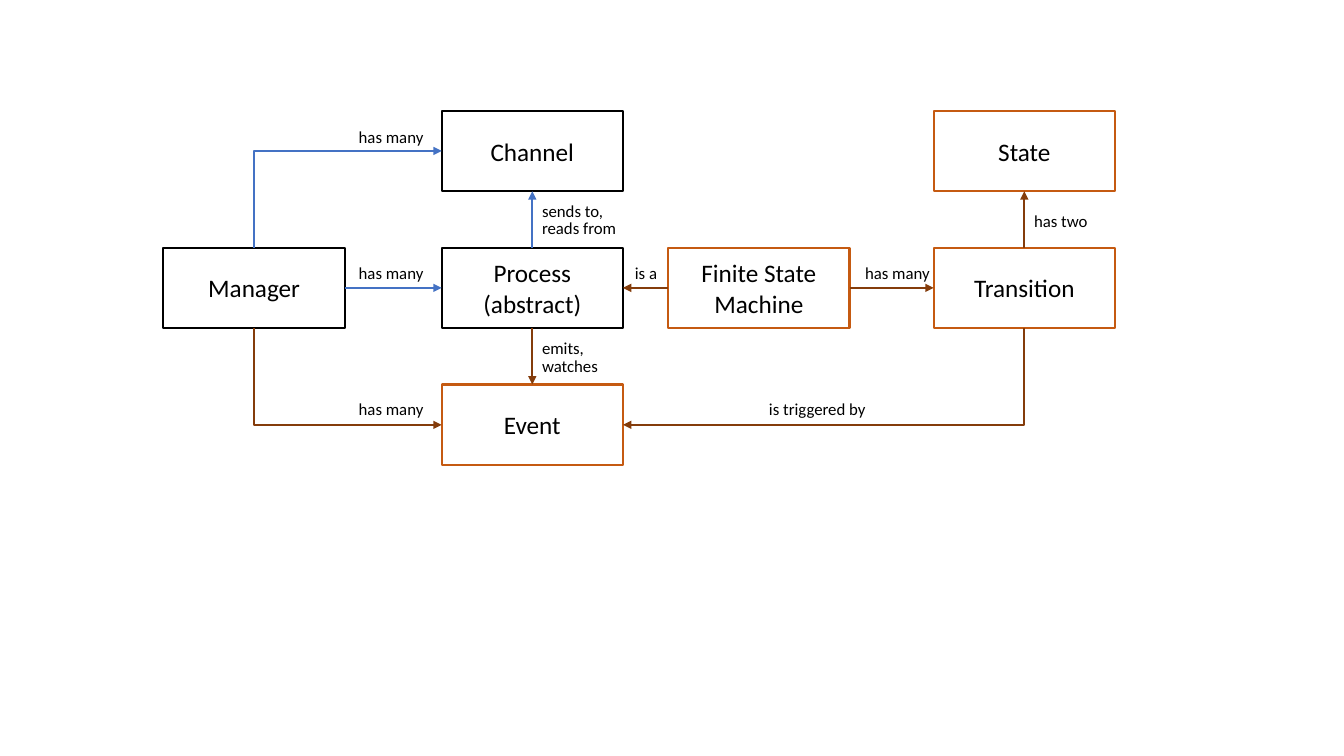
from pptx import Presentation
from pptx.dml.color import RGBColor as Rgb
from pptx.enum.shapes import MSO_CONNECTOR as Link, MSO_SHAPE as Form
from pptx.enum.text import MSO_ANCHOR as Anchor, MSO_AUTO_SIZE as Fit, PP_ALIGN as Align
from pptx.oxml.ns import qn
from pptx.oxml.xmlchemy import OxmlElement as Node
from pptx.util import Cm, Pt

HUES = {"white": "FFFFFF", "black": "000000", "blue": "4472C4",
        "orange": "C55A11", "brown": "843C0B"}
COLS = {"left": 4.12, "mid": 11.13, "right": 16.84, "far": 23.53}
ROWS = [2.79 + 3.45 * n for n in range(3)]
WIDE, HIGH = 4.57, 2.03
TOP, LEFT, BASE, RIGHT = range(4)

BOX_TEXT = {"vertical_anchor": Anchor.MIDDLE, "word_wrap": True}
TAG_TEXT = {"word_wrap": False, "auto_size": Fit.SHAPE_TO_FIT_TEXT}

BOXES = [
    ("Manager", "left", 1, "black"),
    ("Process\n(abstract)", "mid", 1, "black"),
    ("Event", "mid", 2, "orange"),
    ("Channel", "mid", 0, "black"),
    ("State", "far", 0, "orange"),
    ("Transition", "far", 1, "orange"),
    ("Finite State\nMachine", "right", 1, "orange"),
]
ARROWS = [
    ("Manager", TOP, "Channel", LEFT, "blue"),
    ("Manager", RIGHT, "Process", LEFT, "blue"),
    ("Manager", BASE, "Event", LEFT, "brown"),
    ("Process", BASE, "Event", TOP, "brown"),
    ("Process", TOP, "Channel", BASE, "blue"),
    ("Finite State", LEFT, "Process", RIGHT, "brown"),
    ("Finite State", RIGHT, "Transition", LEFT, "brown"),
    ("Transition", TOP, "State", BASE, "brown"),
    ("Transition", BASE, "Event", RIGHT, "brown"),
]
TAGS = [
    ("has many", 8.79, 3.07, 2.16),
    ("has many", 8.79, 9.93, 2.16),
    ("has many", 8.79, 6.5, 2.16),
    ("has many", 21.55, 6.5, 2.16),
    ("has two", 25.81, 5.18, 1.88),
    ("is triggered by", 19.13, 9.93, 2.97),
    ("is a", 15.75, 6.5, 1.09),
    ("sends to,", 13.41, 4.93, 2.08),
    ("reads from", 13.41, 5.37, 2.41),
    ("emits,", 13.41, 8.39, 1.57),
    ("watches", 13.41, 8.83, 1.93),
]


def hue(name):
    return Rgb.from_string(HUES[name])


def apply(item, form):
    for key, value in form.items():
        setattr(item, key, value)


def write(frame, text, size, align, form):
    frame.text = text
    apply(frame, form)
    for para in frame.paragraphs:
        para.alignment = align
        apply(para.font, {"name": "Calibri", "size": Pt(size)})
        para.font.color.rgb = hue("black")


def draw_box(slide, text, col, row, edge):
    box = slide.shapes.add_shape(
        Form.RECTANGLE, Cm(COLS[col]), Cm(ROWS[row]), Cm(WIDE), Cm(HIGH))
    box.shadow.inherit = False
    box.fill.solid()
    box.fill.fore_color.rgb = hue("white")
    box.line.color.rgb = hue(edge)
    box.line.width = Pt(1.5)
    write(box.text_frame, text, 18, Align.CENTER, BOX_TEXT)
    return box


def turn(arrow):
    x1, y1, x2, y2 = arrow.begin_x, arrow.begin_y, arrow.end_x, arrow.end_y
    mid_x, mid_y = (x1 + x2) // 2, (y1 + y2) // 2
    half_x, half_y = (x2 - x1) // 2, (y2 - y1) // 2
    apply(arrow, {"begin_x": mid_x - half_y, "begin_y": mid_y + half_x,
                  "end_x": mid_x + half_y, "end_y": mid_y - half_x})
    props = arrow._element.spPr
    props.find(qn("a:xfrm")).set("rot", "5400000")
    props.find(qn("a:prstGeom")).set("prst", "bentConnector2")


def draw_arrow(slide, start, exit, goal, entry, color):
    bent = exit % 2 != entry % 2
    kind = Link.ELBOW if bent else Link.STRAIGHT
    arrow = slide.shapes.add_connector(kind, 0, 0, 0, 0)
    arrow.begin_connect(start, exit)
    arrow.end_connect(goal, entry)
    if bent:
        turn(arrow)
    arrow.line.color.rgb = hue(color)
    arrow.line.width = Pt(1.5)
    tip = Node("a:tailEnd")
    tip.set("type", "triangle")
    arrow.line._get_or_add_ln().append(tip)
    arrow._element.spPr.append(Node("a:effectLst"))


def draw_tag(slide, text, x, y, wide):
    tag = slide.shapes.add_textbox(Cm(x), Cm(y), Cm(wide), Cm(0.77))
    write(tag.text_frame, text, 12, Align.LEFT, TAG_TEXT)


def main():
    deck = Presentation()
    apply(deck, {"slide_width": Cm(33.87), "slide_height": Cm(19.05)})
    slide = deck.slides.add_slide(deck.slide_layouts[6])
    boxes = {}
    for text, *place in BOXES:
        boxes[text.split("\n")[0]] = draw_box(slide, text, *place)
    for start, exit, goal, entry, color in ARROWS:
        draw_arrow(slide, boxes[start], exit, boxes[goal], entry, color)
    for tag in TAGS:
        draw_tag(slide, *tag)
    deck.save("out.pptx")


main()
